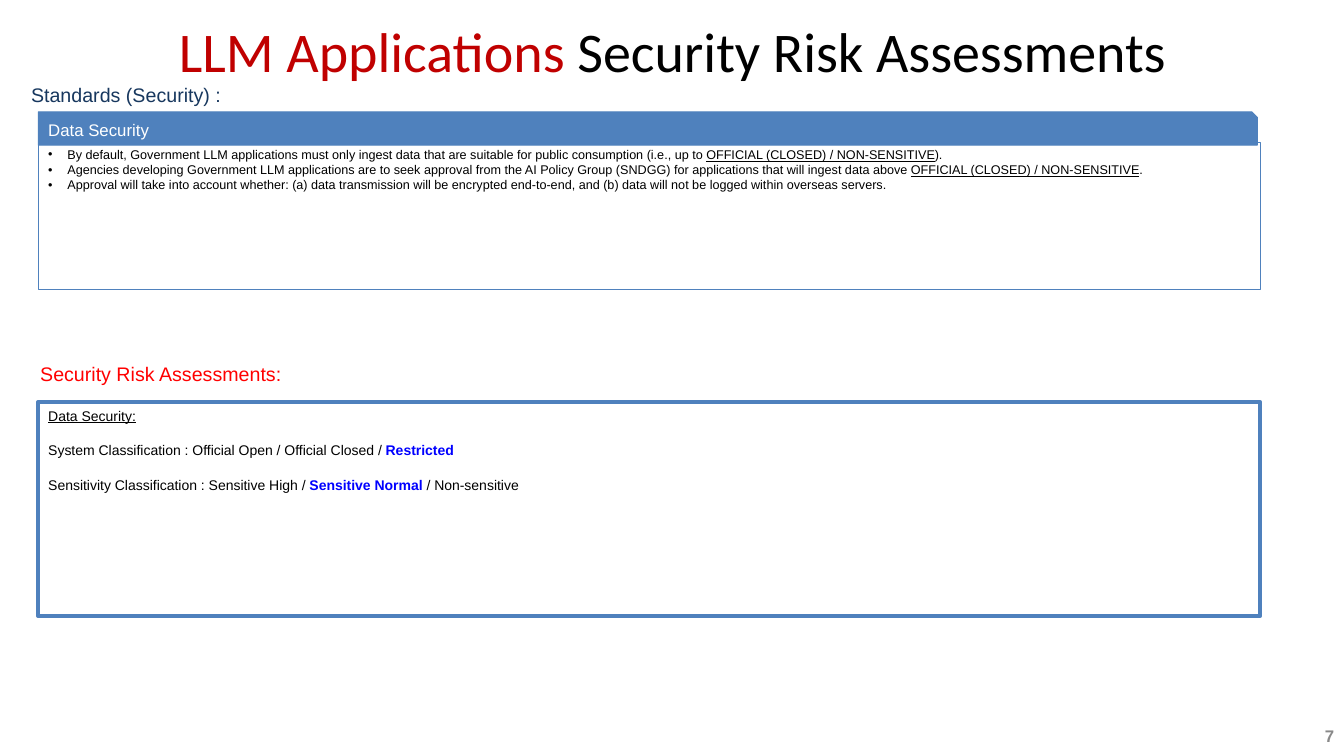
from lxml import etree
from pptx import Presentation
from pptx.dml.color import RGBColor
from pptx.enum.shapes import MSO_SHAPE
from pptx.enum.text import MSO_ANCHOR, PP_ALIGN
from pptx.oxml.ns import qn
from pptx.util import Inches, Pt

RECT, SNIP = MSO_SHAPE.RECTANGLE, MSO_SHAPE.SNIP_1_RECTANGLE
TOP, MIDDLE = MSO_ANCHOR.TOP, MSO_ANCHOR.MIDDLE
LEFT, CENTER, RIGHT = PP_ALIGN.LEFT, PP_ALIGN.CENTER, PP_ALIGN.RIGHT

BLACK = RGBColor(0, 0, 0)
WHITE = RGBColor(255, 255, 255)
GRAY = RGBColor(0x89, 0x89, 0x89)
BLUE = RGBColor(0x4F, 0x81, 0xBD)
NAVY = RGBColor(0x17, 0x37, 0x5E)
BRIGHT = RGBColor(0, 0, 255)
RED = RGBColor(255, 0, 0)
DARK_RED = RGBColor(0xC0, 0, 0)

LEVEL = "OFFICIAL (CLOSED) / NON-SENSITIVE"
UNDER = {"under": True}
CHOSEN = {"color": BRIGHT, "bold": True}
RULES = [
    [("By default, Government LLM applications must only ingest data that are "
      "suitable for public consumption (i.e., up to ", {}), (LEVEL, UNDER), (").", {})],
    [("Agencies developing Government LLM applications are to seek approval from the "
      "AI Policy Group (SNDGG) for applications that will ingest data above ", {}),
     (LEVEL, UNDER), (".", {})],
    [("Approval will take into account whether: (a) data transmission will be encrypted "
      "end-to-end, and (b) data will not be logged within overseas servers.", {})],
]
RISKS = [
    [("Data Security:", UNDER)],
    [("System Classification : Official Open / Official Closed / ", {}),
     ("Restricted", CHOSEN)],
    [("Sensitivity Classification : Sensitive High / ", {}),
     ("Sensitive Normal ", CHOSEN), ("/ Non-sensitive", {})],
]
TITLE = [[("LLM Applications", {"color": DARK_RED}), (" Security Risk Assessments", {})]]


def add_bullet(para):
    props = para._p.get_or_add_pPr()
    props.set("marL", str(Inches(0.19)))
    props.set("indent", str(-Inches(0.19)))
    etree.SubElement(props, qn("a:buFont")).set("typeface", "Arial")
    etree.SubElement(props, qn("a:buChar")).set("char", "•")


def write(shape, text, size=10, color=BLACK, font="Arial", bold=False,
          align=LEFT, anchor=TOP, bullet=False, gap=0):
    frame = shape.text_frame
    frame.word_wrap = True
    frame.vertical_anchor = anchor
    lines = [[(text, {})]] if isinstance(text, str) else text
    for i, line in enumerate(lines):
        para = frame.add_paragraph() if i else frame.paragraphs[0]
        para.alignment = align
        if i and gap:
            para.space_before = Pt(gap)
        if bullet:
            add_bullet(para)
        for words, style in line:
            run = para.add_run()
            run.text = words
            run.font.name = font
            run.font.size = Pt(size)
            run.font.bold = style.get("bold", bold)
            run.font.underline = style.get("under", False)
            run.font.color.rgb = style.get("color", color)


def add_label(slide, box, text, **style):
    write(slide.shapes.add_textbox(*map(Inches, box)), text, **style)


def add_panel(slide, box, text, kind=RECT, fill=None, weight=0.75, **style):
    panel = slide.shapes.add_shape(kind, *map(Inches, box))
    panel.shadow.inherit = False
    if fill is None:
        panel.fill.background()
    else:
        panel.fill.solid()
        panel.fill.fore_color.rgb = fill
    panel.line.color.rgb = BLUE
    panel.line.width = Pt(weight)
    write(panel, text, **style)


def add_standards(slide, x, y, w, h):
    add_label(slide, (x - 0.17, y - 0.34, 4.76, 0.34), "Standards (Security) :",
              size=14, color=NAVY)
    add_panel(slide, (x, y + 0.3, w, h - 0.3), RULES, size=9, bullet=True)
    add_panel(slide, (x, y, w - 0.03, 0.33), "Data Security", kind=SNIP, fill=BLUE,
              size=12, color=WHITE)


def add_risks(slide, x, y, w, h):
    add_label(slide, (x - 0.08, y - 0.45, 6.81, 0.34), "Security Risk Assessments:",
              size=14, color=RED)
    add_panel(slide, (x, y, w, h), RISKS, weight=3, gap=12.8)


def main():
    deck = Presentation()
    deck.slide_width, deck.slide_height = Inches(13.33), Inches(7.5)
    slide = deck.slides.add_slide(deck.slide_layouts[6])
    add_label(slide, (0.67, 0.15, 12, 0.69), TITLE, size=40, font="Calibri",
              align=CENTER, anchor=MIDDLE)
    add_standards(slide, 0.38, 1.11, 12.12, 1.76)
    add_risks(slide, 0.38, 3.99, 12.12, 2.12)
    add_label(slide, (10.22, 7.1, 3.11, 0.4), "7", size=12, color=GRAY, bold=True,
              align=RIGHT, anchor=MIDDLE)
    deck.save("out.pptx")


if __name__ == "__main__":
    main()
